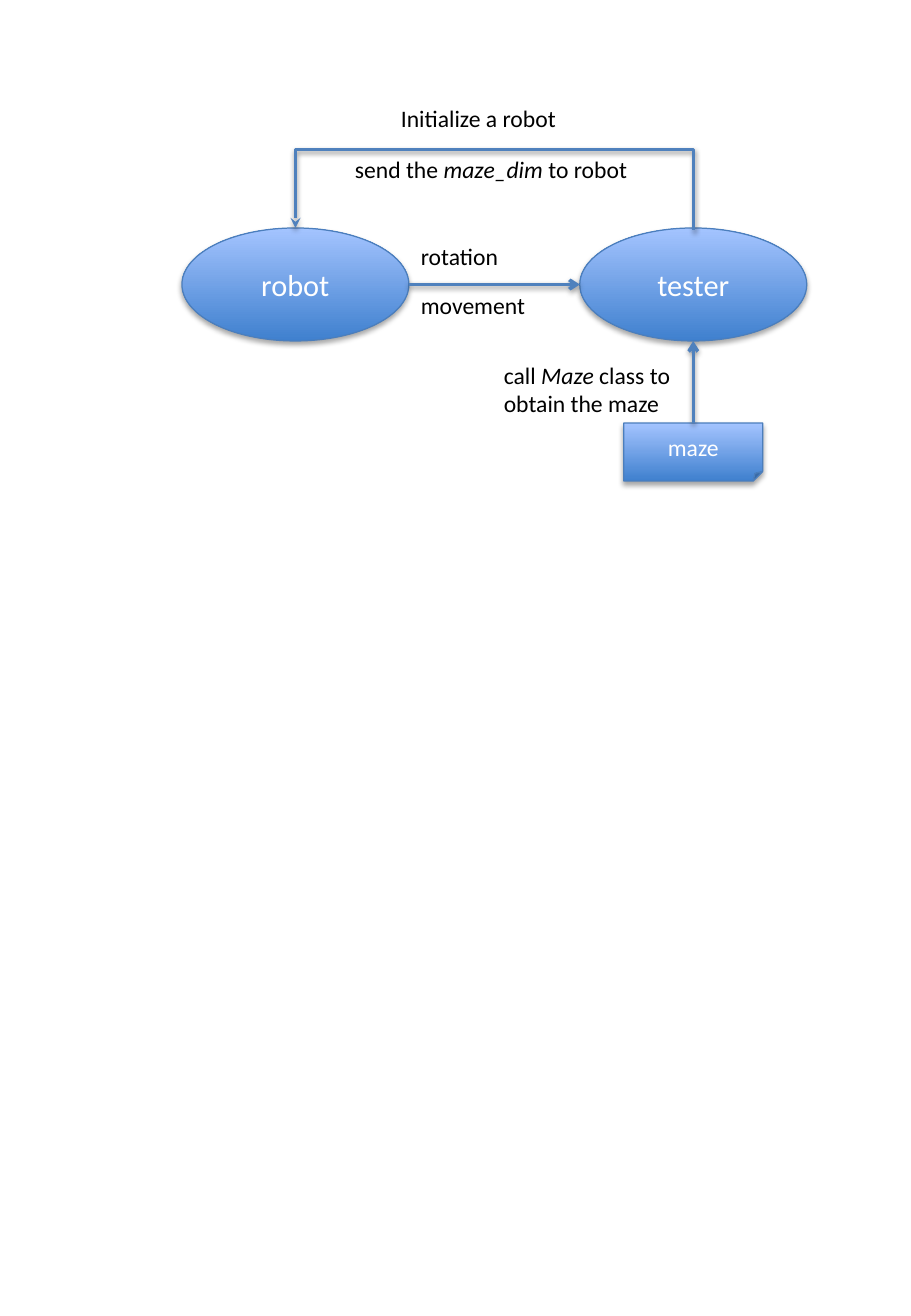
import pptx
import pptx.util
import pptx.dml.color
import pptx.enum.shapes
import pptx.enum.text
import pptx.oxml
import pptx.oxml.ns
from lxml import etree

SCALE = 914400 / 121.5
KIND = pptx.enum.shapes.MSO_SHAPE
LINK = pptx.enum.shapes.MSO_CONNECTOR
ALIGN = pptx.enum.text.PP_ALIGN
ANCHOR = pptx.enum.text.MSO_ANCHOR
FIT = pptx.enum.text.MSO_AUTO_SIZE
qn = pptx.oxml.ns.qn


def px(*sizes):
    return [pptx.util.Emu(round(size * SCALE)) for size in sizes]


def hue(code):
    return pptx.dml.color.RGBColor.from_string(code)


def style(para, size, code):
    para.font.name = "Calibri"
    para.font.size = pptx.util.Pt(size)
    para.font.color.rgb = hue(code)


def shade(props, dist, alpha):
    props.append(pptx.oxml.parse_xml(
        f'<a:effectLst {pptx.oxml.ns.nsdecls("a")}>'
        f'<a:outerShdw blurRad="40000" dist="{dist}" dir="5400000" rotWithShape="0">'
        f'<a:srgbClr val="000000"><a:alpha val="{alpha}"/></a:srgbClr>'
        '</a:outerShdw></a:effectLst>'))


def node(slide, kind, box, name, size):
    shape = slide.shapes.add_shape(kind, *px(*box))
    shape.fill.gradient()
    shape.fill.gradient_angle = 90
    for stop, code, place in zip(shape.fill.gradient_stops, ("3F80CE", "A4C4FF"), (0, 1)):
        stop.color.rgb = hue(code)
        stop.position = place
    shape.line.color.rgb = hue("4B7EBC")
    shape.line.width = pptx.util.Pt(0.75)
    shade(shape._element.spPr, 23000, 35000)
    frame = shape.text_frame
    frame.vertical_anchor = ANCHOR.MIDDLE
    para = frame.paragraphs[0]
    para.text = name
    para.alignment = ALIGN.CENTER
    style(para, size, "FFFFFF")
    return shape


def arrow(slide, kind, ends, head):
    link = slide.shapes.add_connector(kind, *px(*ends))
    link.line.color.rgb = hue("4F81BD")
    link.line.width = pptx.util.Pt(2)
    props = link._element.spPr
    etree.SubElement(props.find(qn("a:ln")), qn("a:tailEnd"), type=head)
    shade(props, 20000, 38000)
    return link


def loop(slide, left, right, top, rise):
    span, thick = right - left, 2
    link = arrow(slide, LINK.ELBOW, (left, top, right, top + thick), "stealth")
    mid = (left + right) / 2
    link.left, link.top, link.width, link.height = px(
        mid - thick / 2, top + thick / 2 - span / 2, thick, span)
    props = link._element.spPr
    frame = props.find(qn("a:xfrm"))
    frame.set("rot", "16200000")
    frame.set("flipV", "1")
    guides = props.find(qn("a:prstGeom")).get_or_add_avLst()
    ratio = round((rise + thick) / thick * 100000)
    etree.SubElement(guides, qn("a:gd"), name="adj1", fmla=f"val {ratio}")


def label(slide, box, parts, wrap=False):
    frame = slide.shapes.add_textbox(*px(*box)).text_frame
    frame.word_wrap = wrap
    frame.auto_size = FIT.SHAPE_TO_FIT_TEXT
    para = frame.paragraphs[0]
    style(para, 14, "000000")
    for order, part in enumerate(parts):
        run = para.add_run()
        run.text = part
        if order % 2:
            run.font.italic = True


def flow(slide, x, y, wide, high):
    oval, tall = 227, 113
    far = x + wide - oval
    base = y + 130
    mid = base + tall / 2
    near = x + oval
    heart = far + oval / 2
    node(slide, KIND.OVAL, (x, base, oval, tall), "robot", 18)
    node(slide, KIND.OVAL, (far, base, oval, tall), "tester", 18)
    loop(slide, x + oval / 2, heart, base, 78)
    arrow(slide, LINK.STRAIGHT, (near, mid, far, mid), "arrow")
    label(slide, (x + 207, y, 182, 41), ["Initialize a robot"])
    label(slide, (x + 161, y + 51, 300, 41), ["send the ", "maze_dim", " to robot"])
    label(slide, (near, y + 138, 103, 41), ["rotation"])
    label(slide, (near, y + 187, 130, 41), ["movement"])
    note, deep = 139, 58
    floor = y + high - deep
    maze = node(slide, KIND.FOLDED_CORNER, (heart - note / 2, floor, note, deep), "maze", 14)
    call = arrow(slide, LINK.STRAIGHT, (heart, floor, heart, base + tall), "arrow")
    call.begin_connect(maze, 0)
    label(slide, (x + 310, y + 257, 210, 69), ["call ", "Maze", " class to obtain the maze"], True)


def main():
    deck = pptx.Presentation()
    deck.slide_width = pptx.util.Inches(7.5)
    deck.slide_height = pptx.util.Inches(10.83)
    slide = deck.slides.add_slide(deck.slide_layouts[6])
    flow(slide, 182, 98, 625, 383)
    deck.save("out.pptx")


if __name__ == "__main__":
    main()
